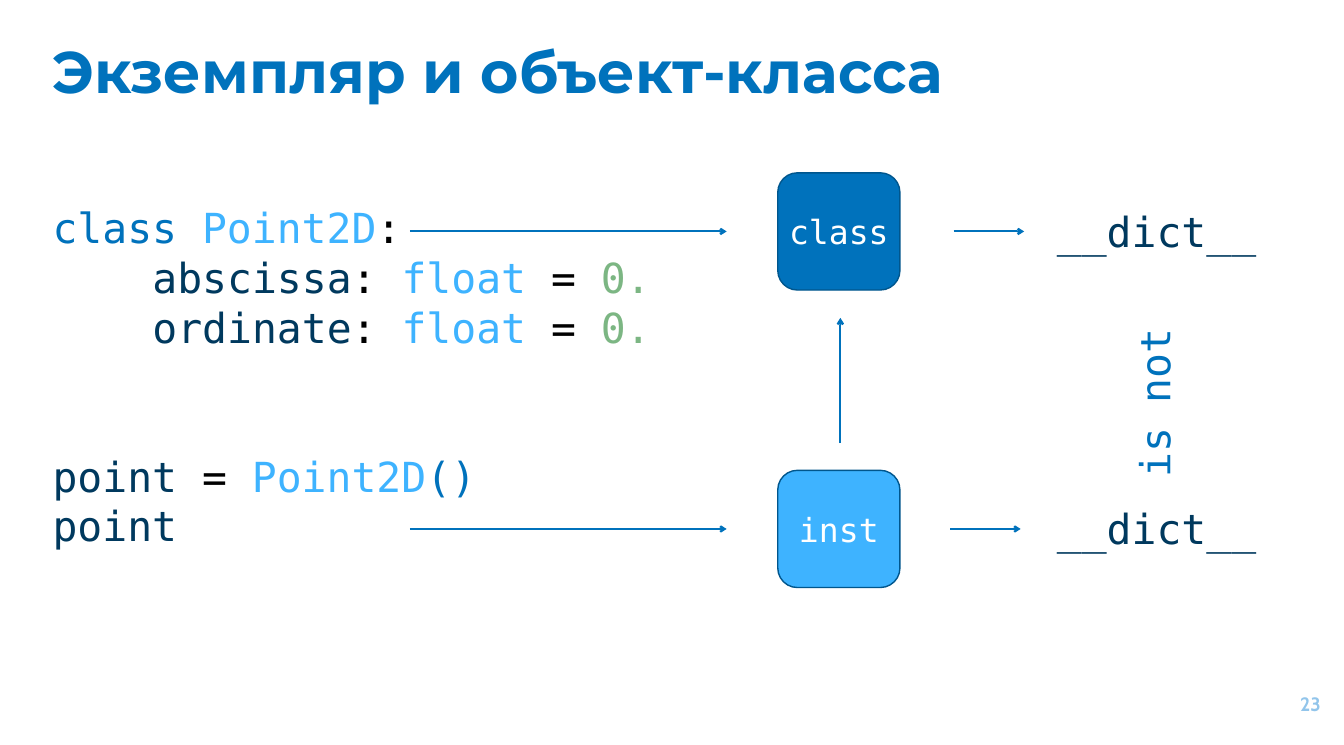
from pptx import Presentation
from pptx.dml.color import RGBColor
from pptx.enum.shapes import MSO_CONNECTOR as CONN, MSO_SHAPE as SHAPE
from pptx.enum.text import MSO_ANCHOR as ANCHOR, MSO_AUTO_SIZE as AUTO, PP_ALIGN as ALIGN
from pptx.oxml.ns import qn
from pptx.util import Inches, Pt
from lxml.etree import SubElement

MONO = "DejaVu Sans Mono"
BLUE, SKY, NAVY, GREEN = "0072BC", "3EB3FF", "00395E", "7CB683"
BLACK, WHITE, EDGE, PALE = "000000", "FFFFFF", "00568D", "92C5EB"
CODE_SIZE = 60
CODE_LINE = 72
CLASS_Y, INST_Y = 4.66, 10.65


def rgb(color):
    return RGBColor.from_string(color)


def format_run(r, size, color, font=MONO, bold=False):
    r.font.size = Pt(size)
    r.font.name = font
    r.font.bold = bold
    r.font.color.rgb = rgb(color)


def set_text(tf, text, size, color, font=MONO, bold=False, align=ALIGN.CENTER):
    tf.text = text
    p = tf.paragraphs[0]
    p.alignment = align
    format_run(p.runs[0], size, color, font, bold)


def set_margins(tf, margin):
    tf.margin_left = tf.margin_right = Inches(margin)
    tf.margin_top = tf.margin_bottom = Inches(margin)


def add_box(s, box):
    sp = s.shapes.add_textbox(*map(Inches, box))
    sp.text_frame.word_wrap = True
    return sp


def add_title(s, box, text):
    sp = s.shapes.title
    sp.left, sp.top, sp.width, sp.height = map(Inches, box)
    tf = sp.text_frame
    set_margins(tf, 0.1)
    tf.vertical_anchor = ANCHOR.TOP
    tf.auto_size = AUTO.NONE
    set_text(tf, text, 85, BLUE, "Montserrat", True, ALIGN.LEFT)


def add_page_number(s, box, text):
    tf = add_box(s, box).text_frame
    set_margins(tf, 0.1)
    tf.vertical_anchor = ANCHOR.MIDDLE
    set_text(tf, text, 28, PALE, "Cabin", True, ALIGN.RIGHT)


def add_code(s, box):
    def field(name):
        return [(name, NAVY), (": ", BLACK), ("float", SKY), (" = ", BLACK), ("0.", GREEN)]

    lines = [
        (0, 0, [("class ", BLUE), ("Point2D", SKY), (":", BLACK)]),
        (2.01, 0, field("abscissa")),
        (2.01, 0, field("ordinate")),
        (0, 2, [("point", NAVY), (" = ", BLACK), ("Point2D", SKY), ("()", BLUE)]),
        (0, 0, [("point", NAVY)]),
    ]
    tf = add_box(s, box).text_frame
    for i, (indent, gap, parts) in enumerate(lines):
        p = tf.add_paragraph() if i else tf.paragraphs[0]
        p.line_spacing = Pt(CODE_LINE)
        p.space_before = Pt(gap * CODE_LINE)
        pPr = p._p.get_or_add_pPr()
        pPr.set("marL", str(Inches(indent)))
        pPr.set("indent", "0")
        for text, color in parts:
            r = p.add_run()
            r.text = text
            format_run(r, CODE_SIZE, color)


def add_node(s, box, text, fill):
    sp = s.shapes.add_shape(SHAPE.ROUNDED_RECTANGLE, *map(Inches, box))
    sp.shadow.inherit = False
    sp.fill.solid()
    sp.fill.fore_color.rgb = rgb(fill)
    sp.line.color.rgb = rgb(EDGE)
    sp.line.width = Pt(2)
    tf = sp.text_frame
    tf.word_wrap = False
    tf.vertical_anchor = ANCHOR.MIDDLE
    set_text(tf, text, 48, WHITE)


def add_arrow(s, x1, y1, x2, y2):
    c = s.shapes.add_connector(CONN.STRAIGHT, *map(Inches, (x1, y1, x2, y2)))
    c.line.color.rgb = rgb(BLUE)
    c.line.width = Pt(3)
    SubElement(c.line._get_or_add_ln(), qn("a:tailEnd"), type="arrow")
    SubElement(c._element.spPr, qn("a:effectLst"))


def add_label(s, box, text, color):
    sp = add_box(s, box)
    tf = sp.text_frame
    tf.auto_size = AUTO.SHAPE_TO_FIT_TEXT
    set_text(tf, text, CODE_SIZE, color)
    return sp


def add_vertical_label(s, box, text, color):
    sp = add_label(s, box, text, color)
    sp.rotation = 180
    sp.text_frame._txBody.bodyPr.set("vert", "eaVert")


def add_object_row(s, y, name, fill, dict_x):
    add_node(s, (15.66, y - 1.18, 2.46, 2.36), name, fill)
    add_arrow(s, 8.25, y, 14.63, y)
    add_arrow(s, dict_x, y, dict_x + 1.42, y)
    add_label(s, (21.09, y - 0.56, 4.39, 1.11), "__dict__", NAVY)


def main():
    prs = Presentation()
    prs.slide_width, prs.slide_height = Inches(27.06), Inches(15)
    s = prs.slides.add_slide(prs.slide_layouts[5])
    add_title(s, (0.96, 0.61, 19.08, 1.92), "Экземпляр и объект-класса")
    add_page_number(s, (25.07, 13.6, 1.62, 1.15), "23")
    add_code(s, (0.96, 4.03, 12.66, 7.55))
    add_object_row(s, CLASS_Y, "class", BLUE, 19.2)
    add_object_row(s, INST_Y, "inst", SKY, 19.13)
    add_arrow(s, 16.92, 8.92, 16.92, 6.4)
    add_vertical_label(s, (22.68, 5.85, 1.21, 3.87), "is not", BLUE)
    prs.save("out.pptx")


if __name__ == "__main__":
    main()
